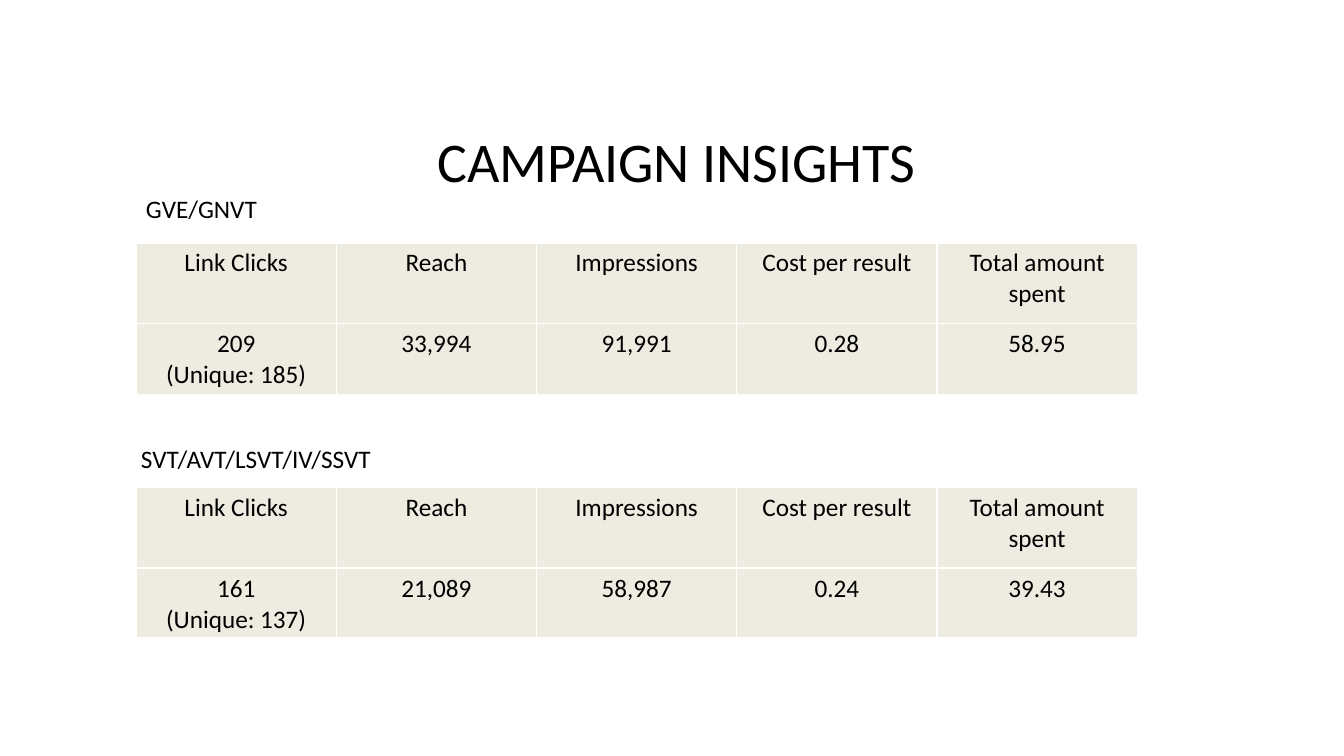
from dataclasses import dataclass

from lxml.etree import SubElement
from pptx import Presentation
from pptx.dml.color import RGBColor
from pptx.enum.text import MSO_ANCHOR as Anchor, PP_ALIGN as Align
from pptx.oxml.ns import qn
from pptx.slide import Slide
from pptx.table import _Cell as Cell
from pptx.text.text import TextFrame
from pptx.util import Inches, Pt

BLACK = RGBColor(0x00, 0x00, 0x00)
WHITE = RGBColor(0xFF, 0xFF, 0xFF)
CREAM = RGBColor(0xEE, 0xEC, 0xE1)
FONT = "Calibri"
LEFT, WIDTH = 1.35, 9.93
HEAD_H, DATA_H = 0.8, 0.7
HEADS = ["Link Clicks", "Reach", "Impressions", "Cost per result",
         "Total amount spent"]


@dataclass
class Label:
    text: str
    left: float
    top: float
    width: float


@dataclass
class Grid:
    top: float
    rows: list[list[str]]
    heights: list[float]
    rules: list[float]  # bottom border of each row, in points


LABELS = [
    Label("GVE/GNVT", 1.35, 1.87, 1.57),
    Label("SVT/AVT/LSVT/IV/SSVT", 1.3, 4.35, 2.85),
]
UPPER = ["209\n(Unique: 185)", "33,994", "91,991", "0.28", "58.95"]
LOWER = ["161\n(Unique: 137)", "21,089", "58,987", "0.24", "39.43"]
GRIDS = [
    Grid(2.41, [HEADS, UPPER], [HEAD_H, DATA_H], [1, 1]),
    Grid(4.84, [HEADS], [HEAD_H], [3]),
    Grid(4.84 + HEAD_H, [LOWER], [DATA_H], [3]),
]


def write(frame: TextFrame, text: str, size: float = 18,
          align: Align = Align.LEFT, wrap: bool = True) -> None:
    frame.text = text
    frame.word_wrap = wrap
    frame.vertical_anchor = Anchor.TOP
    for para in frame.paragraphs:
        para.alignment = align
        for run in para.runs:
            run.font.name = FONT
            run.font.size = Pt(size)
            run.font.bold = False
            run.font.color.rgb = BLACK


def add_rules(cell: Cell, base: float) -> None:
    """Draw white borders, the bottom one as wide as base."""
    props = cell._tc.get_or_add_tcPr()
    for side, width in (("L", 1), ("R", 1), ("T", 1), ("B", base)):
        line = SubElement(props, qn(f"a:ln{side}"), w=str(Pt(width)))
        fill = SubElement(line, qn("a:solidFill"))
        SubElement(fill, qn("a:srgbClr"), val=str(WHITE))


def add_grid(slide: Slide, grid: Grid) -> None:
    table = slide.shapes.add_table(
        len(grid.rows), len(HEADS), Inches(LEFT), Inches(grid.top),
        Inches(WIDTH), Inches(sum(grid.heights))).table
    table.first_row = table.horz_banding = False
    for col in table.columns:
        col.width = Inches(WIDTH / len(HEADS))
    for r, texts in enumerate(grid.rows):
        table.rows[r].height = Inches(grid.heights[r])
        for c, text in enumerate(texts):
            cell = table.cell(r, c)
            write(cell.text_frame, text, align=Align.CENTER)
            add_rules(cell, grid.rules[r])
            cell.fill.solid()
            cell.fill.fore_color.rgb = CREAM


def add_label(slide: Slide, label: Label) -> None:
    box = slide.shapes.add_textbox(Inches(label.left), Inches(label.top),
                                   Inches(label.width), Inches(0.4))
    write(box.text_frame, label.text, wrap=False)


def main() -> None:
    deck = Presentation()
    deck.slide_width, deck.slide_height = Inches(13.33), Inches(7.5)
    slide = deck.slides.add_slide(deck.slide_layouts[5])
    title = slide.shapes.title
    title.left, title.top = Inches(0.71), Inches(1.21)
    title.width, title.height = Inches(12), Inches(1.25)
    write(title.text_frame, "CAMPAIGN INSIGHTS", size=40, align=Align.CENTER)
    for label in LABELS:
        add_label(slide, label)
    for grid in GRIDS:
        add_grid(slide, grid)
    deck.save("out.pptx")


if __name__ == "__main__":
    main()
